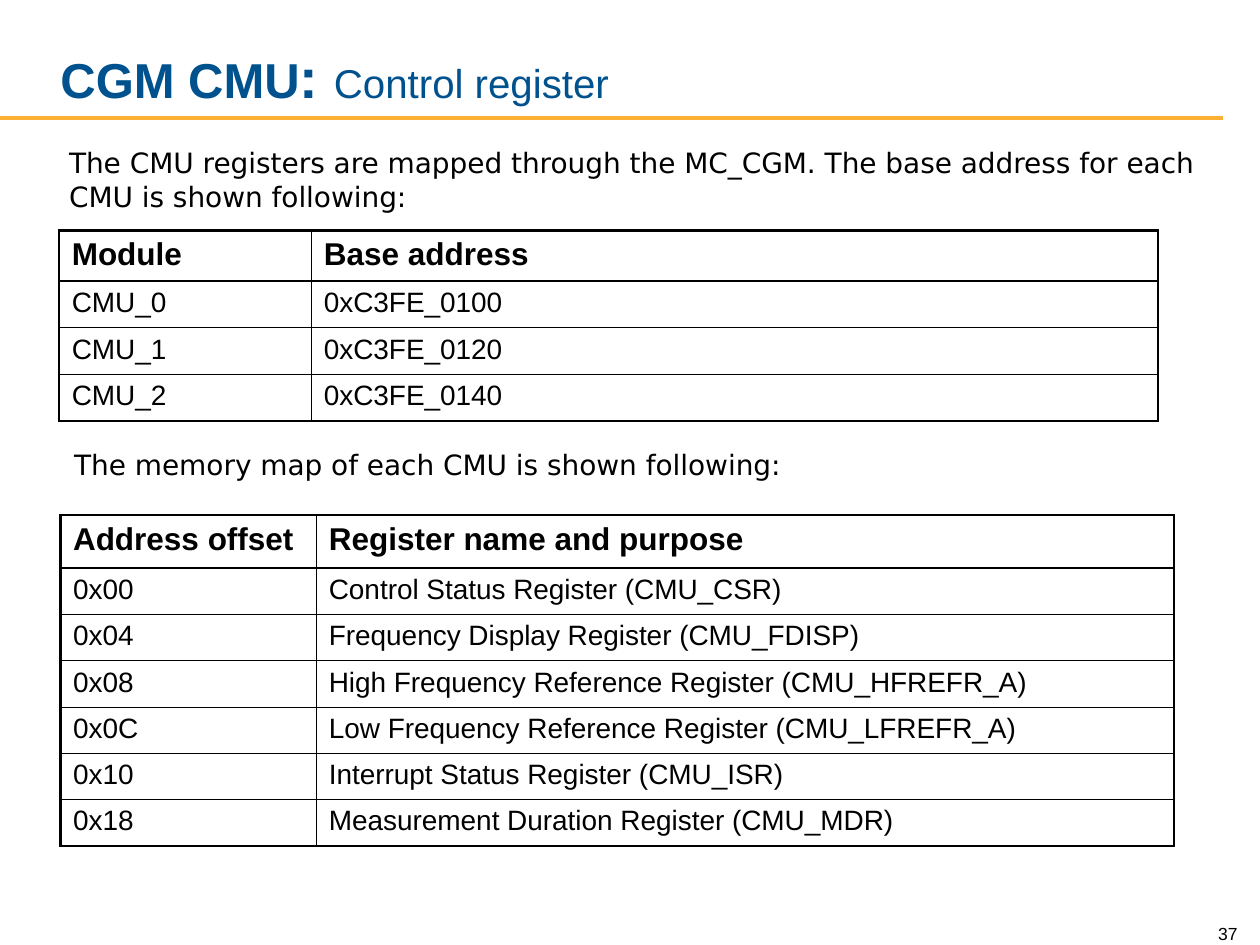
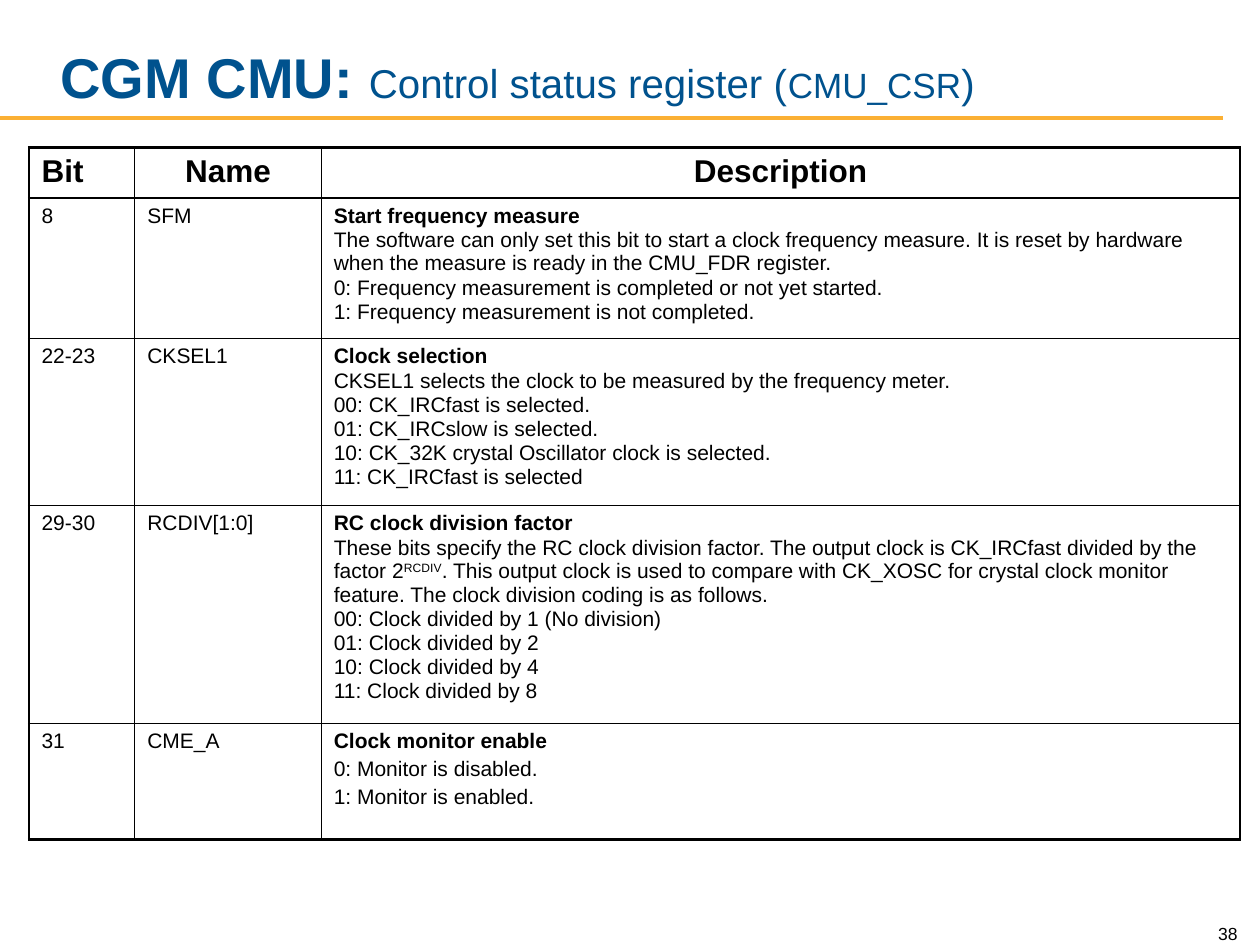
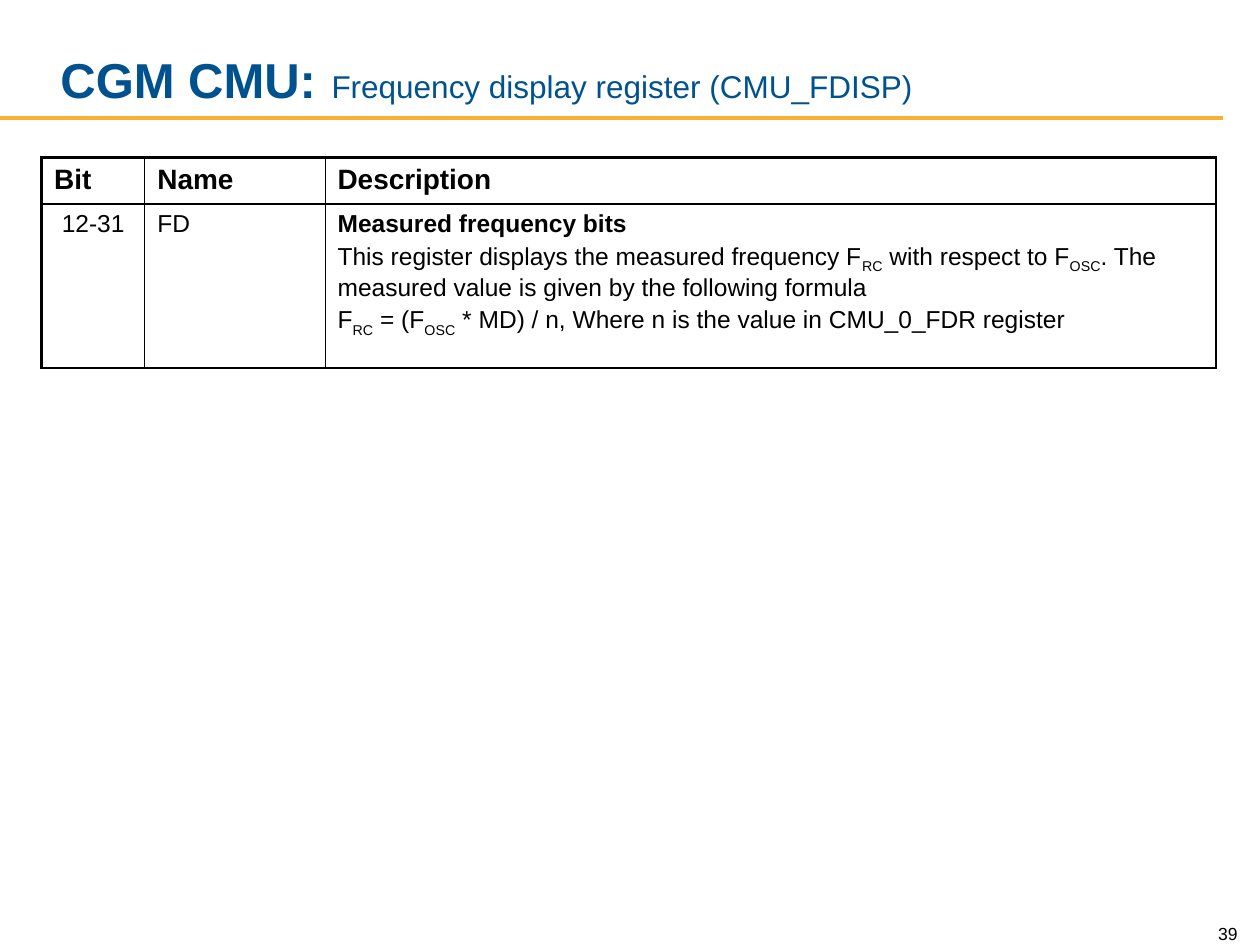
from dataclasses import dataclass

from lxml import etree
from pptx import Presentation
from pptx.dml.color import RGBColor
from pptx.enum.shapes import MSO_CONNECTOR
from pptx.enum.text import MSO_ANCHOR, MSO_AUTO_SIZE, PP_ALIGN
from pptx.oxml.ns import qn
from pptx.util import Inches, Pt

LEFT, CENTER, RIGHT = PP_ALIGN.LEFT, PP_ALIGN.CENTER, PP_ALIGN.RIGHT
BOTTOM = MSO_ANCHOR.BOTTOM
NO_AUTOFIT = MSO_AUTO_SIZE.NONE
STRAIGHT = MSO_CONNECTOR.STRAIGHT

COLORS = {"title": "00528E", "rule": "FBB034", "text": "000000"}
HEADING_FONT = "Arial"
BODY_FONT = "DejaVu Sans"
THICK, THIN = 1.5, 0.5
SUPERSCRIPT, SUBSCRIPT = 30000, -25000
TITLE_ONLY = 5


@dataclass(frozen=True)
class Run:
    text: str
    size: float | None = None
    bold: bool | None = None
    baseline: int = 0


Line = str | tuple[Run, ...]


@dataclass(frozen=True)
class Cell:
    lines: tuple[Line, ...]
    spacing: float = 0.2
    align: PP_ALIGN = LEFT


@dataclass(frozen=True)
class RegisterTable:
    left: float
    top: float
    columns: tuple[float, ...]
    row_heights: tuple[float, ...]
    header_size: float
    body_size: float
    rows: tuple[tuple[str | Cell, ...], ...]


@dataclass(frozen=True)
class Caption:
    left: float
    top: float
    width: float
    height: float
    text: str


@dataclass(frozen=True)
class RegisterSlide:
    number: int
    title: tuple[Run, ...]
    tables: tuple[RegisterTable, ...]
    captions: tuple[Caption, ...] = ()


def set_font(font, name: str, size: float, color: str, bold: bool = False) -> None:
    font.name = name
    font.size = Pt(size)
    font.bold = bold
    font.color.rgb = RGBColor.from_string(COLORS[color])


def add_runs(paragraph, line: Line) -> None:
    runs = (Run(line),) if isinstance(line, str) else line
    for part in runs:
        run = paragraph.add_run()
        run.text = part.text
        if part.size:
            run.font.size = Pt(part.size)
        if part.bold is not None:
            run.font.bold = part.bold
        if part.baseline:
            run._r.get_or_add_rPr().set("baseline", str(part.baseline))


def add_title(slide, runs: tuple[Run, ...]) -> None:
    title = slide.shapes.title
    title.left, title.top = Inches(0.38), Inches(0.17)
    title.width, title.height = Inches(8.17), Inches(0.75)
    frame = title.text_frame
    frame.auto_size = NO_AUTOFIT
    frame.vertical_anchor = BOTTOM
    paragraph = frame.paragraphs[0]
    paragraph.alignment = LEFT
    set_font(paragraph.font, HEADING_FONT, 32, "title", True)
    add_runs(paragraph, runs)


def add_rule(slide) -> None:
    rule = slide.shapes.add_connector(
        STRAIGHT, Inches(0), Inches(0.94), Inches(9.71), Inches(0.94)
    )
    rule.line.color.rgb = RGBColor.from_string(COLORS["rule"])
    rule.line.width = Pt(2.25)
    etree.SubElement(rule._element.spPr, qn("a:effectLst"))


def add_text_box(slide, box: Caption, font: str, size: float,
                 align: PP_ALIGN = LEFT):
    shape = slide.shapes.add_textbox(
        Inches(box.left), Inches(box.top), Inches(box.width), Inches(box.height)
    )
    frame = shape.text_frame
    frame.word_wrap = True
    paragraph = frame.paragraphs[0]
    paragraph.alignment = align
    set_font(paragraph.font, font, size, "text")
    add_runs(paragraph, box.text)
    return frame


def add_borders(cell, widths: dict[str, float]) -> None:
    properties = cell._tc.get_or_add_tcPr()
    for side, width in widths.items():
        line = etree.SubElement(properties, qn(f"a:ln{side}"), w=str(Pt(width)))
        fill = etree.SubElement(line, qn("a:solidFill"))
        etree.SubElement(fill, qn("a:srgbClr"), val=COLORS["text"])


def fill_cell(cell, content: str | Cell, size: float, header: bool) -> None:
    if isinstance(content, str):
        content = Cell((content,))
    frame = cell.text_frame
    for index, line in enumerate(content.lines):
        paragraph = frame.add_paragraph() if index else frame.paragraphs[0]
        paragraph.alignment = content.align
        paragraph.space_before = Pt(round(size * content.spacing, 2))
        heading = header or (index == 0 and len(content.lines) > 1)
        set_font(paragraph.font, HEADING_FONT, size, "text", heading)
        add_runs(paragraph, line)


def add_register_table(slide, spec: RegisterTable) -> None:
    last_row, last_column = len(spec.rows) - 1, len(spec.columns) - 1
    table = slide.shapes.add_table(
        len(spec.rows), len(spec.columns), Inches(spec.left), Inches(spec.top),
        Inches(sum(spec.columns)), Inches(sum(spec.row_heights)),
    ).table
    table.first_row = table.horz_banding = False
    for column, width in zip(table.columns, spec.columns):
        column.width = Inches(width)
    for row, height in zip(table.rows, spec.row_heights):
        row.height = Inches(height)
    for row_index, contents in enumerate(spec.rows):
        header = row_index == 0
        for column_index, content in enumerate(contents):
            cell = table.cell(row_index, column_index)
            size = spec.header_size if header else spec.body_size
            fill_cell(cell, content, size, header)
            add_borders(cell, {
                "L": THICK if column_index == 0 else THIN,
                "R": THICK if column_index == last_column else THIN,
                "T": THICK if row_index <= 1 else THIN,
                "B": THICK if row_index in (0, last_row) else THIN,
            })
            cell.fill.background()


def add_register_slide(presentation, spec: RegisterSlide) -> None:
    slide = presentation.slides.add_slide(presentation.slide_layouts[TITLE_ONLY])
    add_rule(slide)
    number = Caption(9.42, 7.24, 0.5, 0.3, str(spec.number))
    add_text_box(slide, number, HEADING_FONT, 10, RIGHT).vertical_anchor = BOTTOM
    add_title(slide, spec.title)
    for table in spec.tables:
        add_register_table(slide, table)
    for caption in spec.captions:
        add_text_box(slide, caption, BODY_FONT, 16)


BASE_ADDRESSES = RegisterTable(
    0.47, 1.83, (2, 6.72), (0.4,) + (0.37,) * 3, 18, 16,
    (
        ("Module", "Base address"),
        ("CMU_0", "0xC3FE_0100"),
        ("CMU_1", "0xC3FE_0120"),
        ("CMU_2", "0xC3FE_0140"),
    ),
)

MEMORY_MAP = RegisterTable(
    0.48, 4.09, (2.03, 6.81), (0.42,) + (0.35,) * 6, 18, 16,
    (
        ("Address offset", "Register name and purpose"),
        ("0x00", "Control Status Register (CMU_CSR)"),
        ("0x04", "Frequency Display Register (CMU_FDISP)"),
        ("0x08", "High Frequency Reference Register (CMU_HFREFR_A)"),
        ("0x0C", "Low Frequency Reference Register (CMU_LFREFR_A)"),
        ("0x10", "Interrupt Status Register (CMU_ISR)"),
        ("0x18", "Measurement Duration Register (CMU_MDR)"),
    ),
)

CONTROL_STATUS_BITS = RegisterTable(
    0.23, 1.17, (0.84, 1.48, 7.29), (0.38, 1.05, 1.25, 1.73, 0.92), 18, 12,
    (
        ("Bit", Cell(("Name",), align=CENTER), Cell(("Description",), align=CENTER)),
        ("8", "SFM", Cell((
            "Start frequency measure",
            "The software can only set this bit to start a clock frequency measure. "
            "It is reset by hardware when the measure is ready in the CMU_FDR register.",
            "0: Frequency measurement is completed or not yet started.",
            "1: Frequency measurement is not completed.",
        ), 0.03)),
        ("22-23", "CKSEL1", Cell((
            "Clock selection",
            "CKSEL1 selects the clock to be measured by the frequency meter.",
            "00: CK_IRCfast is selected.",
            "01: CK_IRCslow is selected.",
            "10: CK_32K crystal Oscillator clock is selected.",
            "11: CK_IRCfast is selected",
        ), 0.03)),
        ("29-30", "RCDIV[1:0]", Cell((
            "RC clock division factor",
            (
                Run("These bits specify the RC clock division factor. The output "
                    "clock is CK_IRCfast divided by the factor 2"),
                Run("RCDIV", baseline=SUPERSCRIPT),
                Run(". This output clock is used to compare with CK_XOSC for crystal "
                    "clock monitor feature. The clock division coding is as follows."),
            ),
            "00: Clock divided by 1 (No division)",
            "01: Clock divided by 2",
            "10: Clock divided by 4",
            "11: Clock divided by 8",
        ), 0.03)),
        ("31", "CME_A", Cell((
            "Clock monitor enable",
            "0: Monitor is disabled.",
            "1: Monitor is enabled.",
        ))),
    ),
)

RC = Run("RC", baseline=SUBSCRIPT)
OSC = Run("OSC", baseline=SUBSCRIPT)

FREQUENCY_DISPLAY_BITS = RegisterTable(
    0.33, 1.25, (0.82, 1.43, 7.07), (0.37, 1.3), 16, 14,
    (
        ("Bit", "Name", "Description"),
        (Cell(("12-31",), 0, CENTER), "FD", Cell((
            "Measured frequency bits",
            (
                Run("This register displays the measured frequency F"), RC,
                Run(" with respect to F"), OSC,
                Run(". The measured value is given by the following formula"),
            ),
            (
                Run("F"), RC, Run(" = (F"), OSC,
                Run(" * MD) / n, Where n is the value in CMU_0_FDR register"),
            ),
        ))),
    ),
)

SLIDES = (
    RegisterSlide(
        37,
        (Run("CGM CMU", 28), Run(": ", 32), Run("Control register", 23, False)),
        (MEMORY_MAP, BASE_ADDRESSES),
        (
            Caption(0.45, 1.11, 9.14, 0.64,
                    "The CMU registers are mapped through the MC_CGM. "
                    "The base address for each CMU is shown following:"),
            Caption(0.49, 3.5, 5.88, 0.37,
                    "The memory map of each CMU is shown following:"),
        ),
    ),
    RegisterSlide(
        38,
        (
            Run("CGM CMU: ", 32), Run("Control status register (", 23, False),
            Run("CMU_CSR", 20, False), Run(")", 23, False),
        ),
        (CONTROL_STATUS_BITS,),
    ),
    RegisterSlide(
        39,
        (
            Run("CGM CMU:", 28), Run(" ", 32),
            Run("Frequency display register (CMU_FDISP)", 18, False),
        ),
        (FREQUENCY_DISPLAY_BITS,),
    ),
)


def main() -> None:
    presentation = Presentation()
    presentation.slide_width = Inches(10)
    presentation.slide_height = Inches(7.5)
    for spec in SLIDES:
        add_register_slide(presentation, spec)
    presentation.save("out.pptx")


main()
